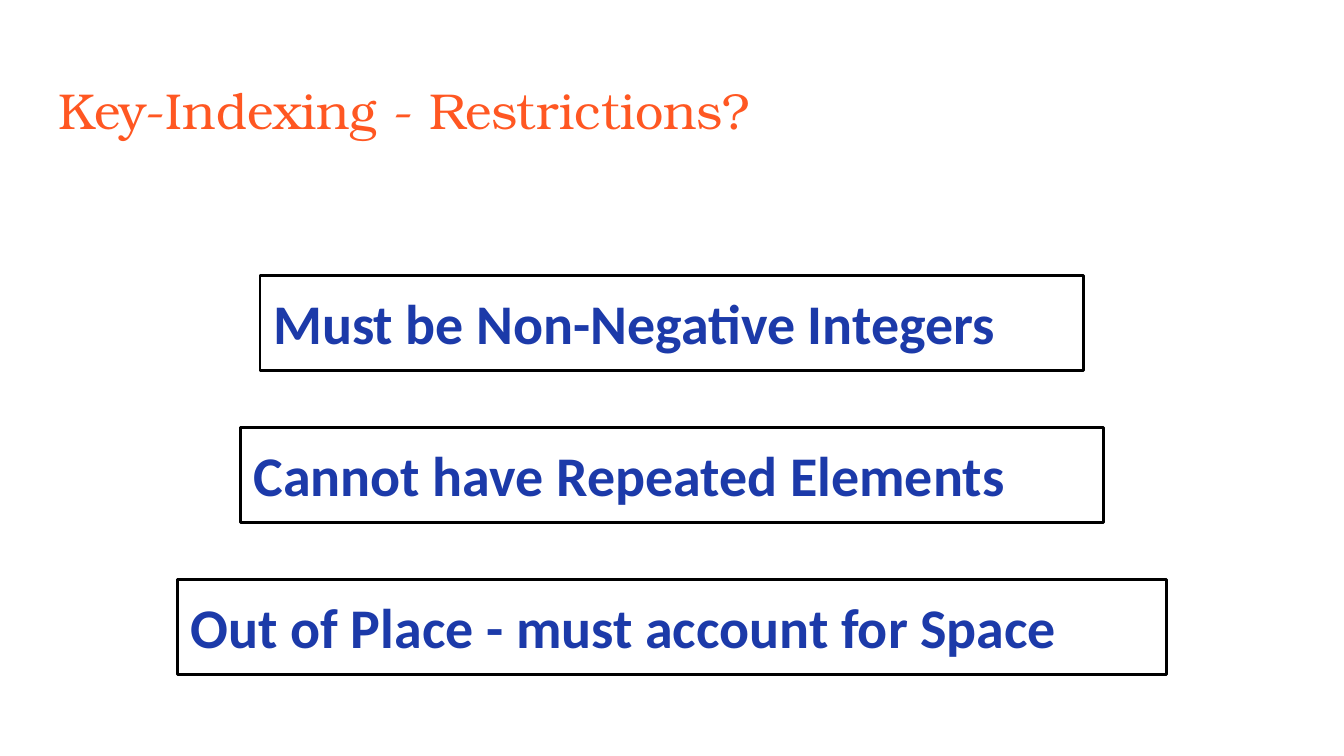
from pptx import Presentation
from pptx.dml.color import RGBColor
from pptx.enum.shapes import MSO_SHAPE
from pptx.enum.text import MSO_ANCHOR, MSO_AUTO_SIZE, PP_ALIGN
from pptx.util import Cm, Pt

SLIDE_WIDTH = 25.4
SLIDE_HEIGHT = 14.29
BOX_TOP = 5.21
BOX_HEIGHT = 1.8
BOX_PITCH = 2.87
RESTRICTIONS = [
    ("Must be Non-Negative Integers", 15.57),
    ("Cannot have Repeated Elements", 16.31),
    ("Out of Place - must account for Space", 18.69),
]


def color(hex_string):
    return RGBColor.from_string(hex_string)


def write_text(shape, text, font_name, size, hex_string, bold=False):
    frame = shape.text_frame
    frame.word_wrap = True
    frame.vertical_anchor = MSO_ANCHOR.TOP
    frame.margin_left = frame.margin_right = Cm(0.25)
    frame.margin_top = frame.margin_bottom = Cm(0.25)
    paragraph = frame.paragraphs[0]
    paragraph.alignment = PP_ALIGN.LEFT
    run = paragraph.add_run()
    run.text = text
    run.font.name = font_name
    run.font.size = Pt(size)
    run.font.bold = bold
    run.font.color.rgb = color(hex_string)


def add_title(slide, text):
    title = slide.shapes.add_textbox(Cm(0.86), Cm(1.24), Cm(23.67), Cm(1.6))
    write_text(title, text, "TeX Gyre Bonum", 27, "FF5722")


def add_restriction_box(slide, text, top, width):
    left = (SLIDE_WIDTH - width) / 2
    box = slide.shapes.add_shape(
        MSO_SHAPE.RECTANGLE, Cm(left), Cm(top), Cm(width), Cm(BOX_HEIGHT)
    )
    box.shadow.inherit = False
    box.fill.background()
    box.line.color.rgb = color("000000")
    box.line.width = Pt(1.5)
    write_text(box, text, "Calibri", 30, "1C3AA9", bold=True)
    box.text_frame.auto_size = MSO_AUTO_SIZE.SHAPE_TO_FIT_TEXT


def main():
    presentation = Presentation()
    presentation.slide_width = Cm(SLIDE_WIDTH)
    presentation.slide_height = Cm(SLIDE_HEIGHT)
    slide = presentation.slides.add_slide(presentation.slide_layouts[6])
    add_title(slide, "Key-Indexing - Restrictions?")
    for index, (text, width) in enumerate(RESTRICTIONS):
        add_restriction_box(slide, text, BOX_TOP + index * BOX_PITCH, width)
    presentation.save("out.pptx")


if __name__ == "__main__":
    main()
